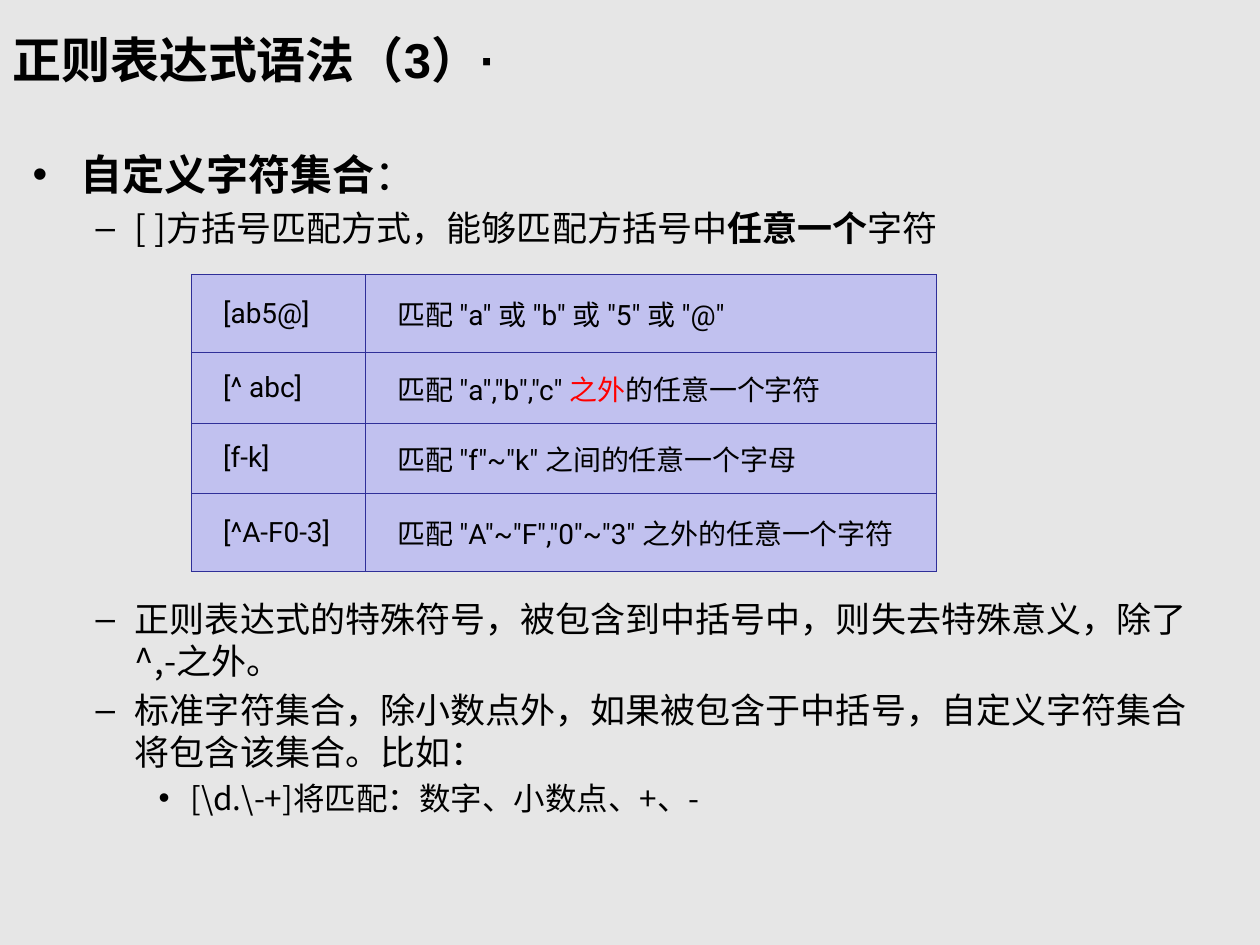
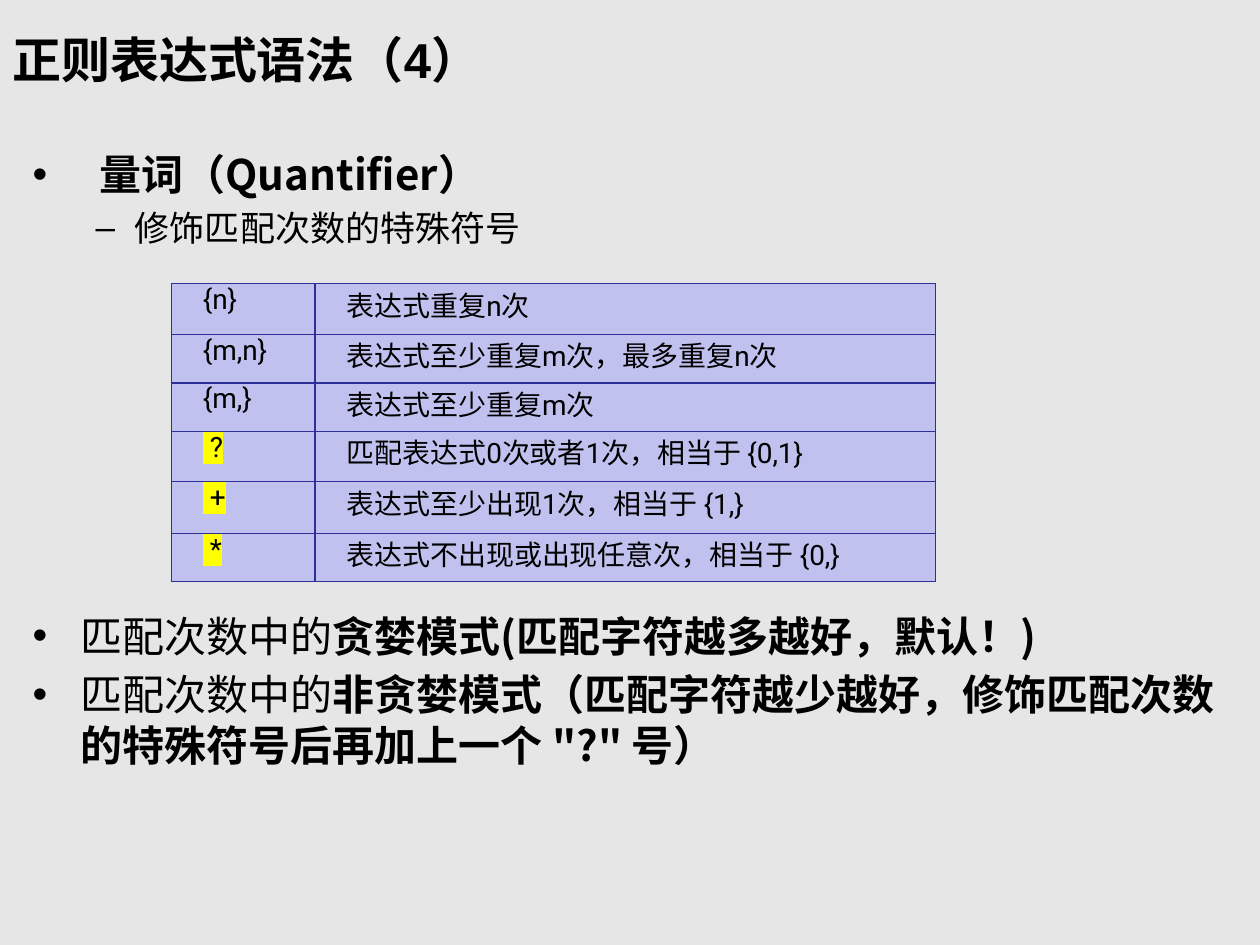
import dataclasses

import pptx
import pptx.dml.color
import pptx.enum.text
import pptx.util
from lxml import etree
from pptx.oxml.ns import qn

Cm = pptx.util.Cm
Pt = pptx.util.Pt
PLAIN, BOLD, RED, MARKED = "plain", "bold", "red", "marked"


@dataclasses.dataclass(frozen=True)
class Theme:
    background: str = "E6E6E6"
    ink: str = "000000"
    accent: str = "FF0000"
    highlight: str = "FFFF00"
    cell: str = "C1C1EF"
    border: str = "2F2F98"
    title_font: str = "Arial"
    body_font: str = "Noto Sans CJK SC"
    table_font: str = "Roboto"
    title_size: int = 28
    table_size: int = 16
    # One entry per outline level: bullet, size, left edge and hanging indent
    levels: tuple = (("•", 24, 0.97, 0.97), ("–", 20, 2.06, 0.79), ("•", 18, 3.18, 0.64))


def rgb(value):
    return pptx.dml.color.RGBColor.from_string(value)


def add_color(parent, value):
    etree.SubElement(parent, qn("a:srgbClr"), val=value)


class SlideBuilder:
    def __init__(self, deck, theme):
        self.deck = deck
        self.theme = theme
        self.page = None

    def new_page(self, title):
        self.page = self.deck.slides.add_slide(self.deck.slide_layouts[6])
        fill = self.page.background.fill
        fill.solid()
        fill.fore_color.rgb = rgb(self.theme.background)
        self.title(title)

    def add_spans(self, para, spans, font, size, bold=False):
        """Fill a paragraph with a string or with (text, style) spans."""
        if isinstance(spans, str):
            spans = [(spans, PLAIN)]
        for text, style in spans:
            span = para.add_run()
            span.text = text
            span.font.size = Pt(size)
            span.font.bold = bold or style == BOLD
            span.font.color.rgb = rgb(self.theme.accent if style == RED else self.theme.ink)
            span.font.name = font
            properties = span.font._element
            east_asian = etree.Element(qn("a:ea"), typeface=self.theme.body_font)
            properties.find(qn("a:latin")).addnext(east_asian)
            if style == MARKED:
                mark = etree.Element(qn("a:highlight"))
                add_color(mark, self.theme.highlight)
                properties.find(qn("a:solidFill")).addnext(mark)

    def title(self, text):
        box = self.page.shapes.add_textbox(0, 0, self.deck.slide_width, Cm(2.39))
        box.fill.solid()
        box.fill.fore_color.rgb = rgb(self.theme.background)
        frame = box.text_frame
        frame.word_wrap = True
        frame.vertical_anchor = pptx.enum.text.MSO_ANCHOR.MIDDLE
        self.add_spans(frame.paragraphs[0], text, self.theme.title_font, self.theme.title_size, True)

    def outline(self, top, height, items, first_indent=0):
        """Add bulleted (level, spans) items; first_indent moves the first text right."""
        box = self.page.shapes.add_textbox(Cm(0.41), Cm(top), Cm(24.41), Cm(height))
        frame = box.text_frame
        frame.word_wrap = True
        frame.margin_top = Cm(0.23)
        for index, (level, spans) in enumerate(items):
            para = frame.add_paragraph() if index else frame.paragraphs[0]
            bullet, size, left, hanging = self.theme.levels[level]
            extra = 0 if index else first_indent
            para.level = level
            para.line_spacing = Pt(1.2 * size)
            para.space_before = Pt(0.2 * size if index else 0)
            properties = para._p.get_or_add_pPr()
            properties.set("marL", str(Cm(left + extra)))
            properties.set("indent", str(-Cm(hanging + extra)))
            etree.SubElement(properties, qn("a:buFont"), typeface=self.theme.title_font)
            etree.SubElement(properties, qn("a:buChar"), char=bullet)
            self.add_spans(para, spans, self.theme.body_font, size)

    def style_cell(self, cell, anchor):
        cell.margin_left = cell.margin_right = cell.margin_top = cell.margin_bottom = 0
        cell.vertical_anchor = anchor
        properties = cell._tc.get_or_add_tcPr()
        for side in ("L", "R", "T", "B"):
            line = etree.SubElement(properties, qn("a:ln" + side), w=str(Pt(0.75)))
            add_color(etree.SubElement(line, qn("a:solidFill")), self.theme.border)
        cell.fill.solid()
        cell.fill.fore_color.rgb = rgb(self.theme.cell)

    def table(self, left, top, widths, heights, rows, anchor):
        shape = self.page.shapes.add_table(
            len(rows), len(widths), Cm(left), Cm(top), Cm(sum(widths)), Cm(sum(heights)))
        grid = shape.table
        grid.first_row = grid.horz_banding = False
        for column, width in zip(grid.columns, widths):
            column.width = Cm(width)
        for row, height, contents in zip(grid.rows, heights, rows):
            row.height = Cm(height)
            for cell, spans in zip(row.cells, contents):
                self.style_cell(cell, anchor)
                para = cell.text_frame.paragraphs[0]
                para.alignment = pptx.enum.text.PP_ALIGN.JUSTIFY
                para._p.get_or_add_pPr().set("marL", str(Cm(0.64)))
                self.add_spans(para, spans, self.theme.table_font, self.theme.table_size)


def character_sets(builder):
    builder.new_page("正则表达式语法（3）·")
    builder.outline(2.77, 2.6, [
        (0, [("自定义字符集合", BOLD), ("：", PLAIN)]),
        (1, [("[ ]方括号匹配方式，能够匹配方括号中", PLAIN), ("任意一个", BOLD), ("字符", PLAIN)]),
    ])
    builder.table(3.86, 5.54, [3.51, 11.51], [1.57, 1.42, 1.42, 1.57], [
        ("[ab5@]", '匹配 "a" 或 "b" 或 "5" 或 "@"'),
        ("[^ abc]", [('匹配 "a","b","c" ', PLAIN), ("之外", RED), ("的任意一个字符", PLAIN)]),
        ("[f-k]", '匹配 "f"~"k" 之间的任意一个字母'),
        ("[^A-F0-3]", '匹配 "A"~"F","0"~"3" 之外的任意一个字符'),
    ], pptx.enum.text.MSO_ANCHOR.MIDDLE)
    builder.outline(11.81, 5.5, [
        (1, "正则表达式的特殊符号，被包含到中括号中，则失去特殊意义，除了^,-之外。"),
        (1, "标准字符集合，除小数点外，如果被包含于中括号，自定义字符集合将包含该集合。比如："),
        (2, "[\\d.\\-+]将匹配：数字、小数点、+、-"),
    ])


def quantifiers(builder):
    builder.new_page("正则表达式语法（4）")
    builder.outline(2.77, 2.6, [
        (0, [("量词（Quantifier）", BOLD)]),
        (1, "修饰匹配次数的特殊符号"),
    ], first_indent=0.38)
    builder.table(3.45, 5.72, [2.9, 12.5], [1.02, 0.98, 0.98, 1.01, 1.04, 0.98], [
        ("{n}", "表达式重复n次"),
        ("{m,n}", "表达式至少重复m次，最多重复n次"),
        ("{m,}", "表达式至少重复m次"),
        ([(" ?", MARKED)], "匹配表达式0次或者1次，相当于 {0,1}"),
        ([(" +", MARKED)], "表达式至少出现1次，相当于 {1,}"),
        ([(" *", MARKED)], "表达式不出现或出现任意次，相当于 {0,}"),
    ], pptx.enum.text.MSO_ANCHOR.TOP)
    builder.outline(12.07, 4.5, [
        (0, [("匹配次数中的", PLAIN), ("贪婪模式(匹配字符越多越好，默认！)", BOLD)]),
        (0, [("匹配次数中的", PLAIN),
             ('非贪婪模式（匹配字符越少越好，修饰匹配次数的特殊符号后再加上一个 "?" 号）', BOLD)]),
    ])


def main():
    deck = pptx.Presentation()
    deck.slide_width, deck.slide_height = Cm(25.4), Cm(19.05)
    builder = SlideBuilder(deck, Theme())
    character_sets(builder)
    quantifiers(builder)
    deck.save("out.pptx")


if __name__ == "__main__":
    main()
